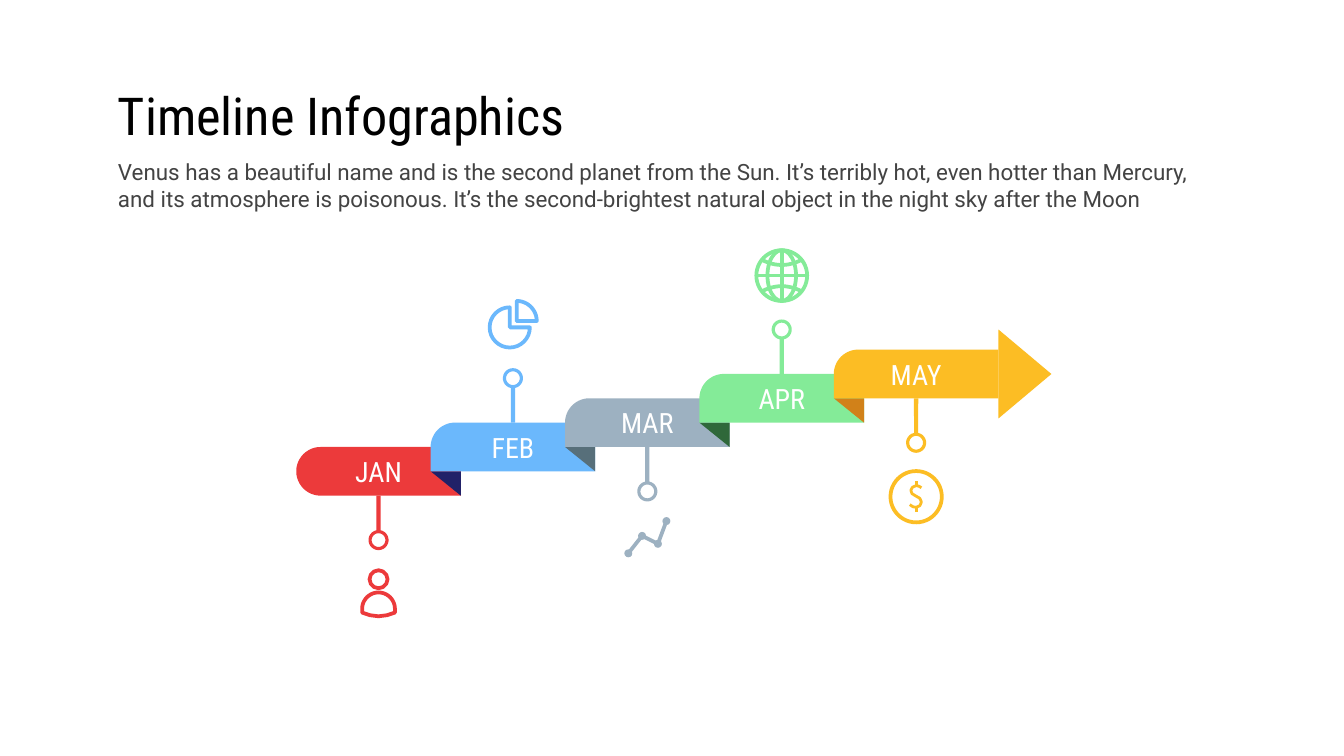
import dataclasses
import math

import lxml.etree
import pptx
import pptx.dml.color
import pptx.enum.shapes
import pptx.enum.text
import pptx.oxml.ns
import pptx.util

Cm, Pt = pptx.util.Cm, pptx.util.Pt
Kind = pptx.enum.shapes.MSO_SHAPE
Align = pptx.enum.text.PP_ALIGN


@dataclasses.dataclass(frozen=True)
class Theme:
    """Colours, fonts and type sizes of the slide."""
    ink: str = "000000"
    grey: str = "434343"
    white: str = "FFFFFF"
    fills: tuple = ("EC3A3B", "6BB8FC", "9DB1C1", "84EB98", "FCBD24")
    folds: tuple = (None, "212168", "576F7A", "2F683A", "D18119")
    head: str = "Roboto Condensed"
    text: str = "Roboto"
    big: float = 28
    mid: float = 15
    small: float = 12
    line: float = 2
    thin: float = 1.5


THEME = Theme()
WIDE, TALL = 3.11, 0.92
STEP, RISE = 2.54, TALL / 2


def rgb(code):
    """Turn a hex code into a colour."""
    return pptx.dml.color.RGBColor.from_string(code)


def write(frame, text, font, size, code, align, inset):
    """Put one run of text into a frame."""
    frame.word_wrap = True
    frame.auto_size = pptx.enum.text.MSO_AUTO_SIZE.NONE
    frame.vertical_anchor = pptx.enum.text.MSO_ANCHOR.MIDDLE
    frame.margin_left = frame.margin_right = Cm(inset)
    frame.margin_top = frame.margin_bottom = Cm(inset)
    para = frame.paragraphs[0]
    para.alignment = align
    run = para.add_run()
    run.text = text
    run.font.name, run.font.size = font, Pt(size)
    run.font.color.rgb = rgb(code)


def paint(shape, code, solid, size=THEME.line):
    """Fill a shape, or only outline it."""
    shape.shadow.inherit = False
    if solid:
        shape.fill.solid()
        shape.fill.fore_color.rgb = rgb(code)
        shape.line.fill.background()
    else:
        shape.fill.background()
        shape.line.color.rgb = rgb(code)
        shape.line.width = Pt(size)
    return shape


def trace(parts, x, y, dots, code, solid=False, close=True, size=THEME.line, hole=()):
    """Draw a path, and a hole in it, through dots given from x, y."""
    spots, gap = ([(Cm(x + dx), Cm(y + dy)) for dx, dy in row] for row in (dots, hole))
    path = parts.build_freeform(*spots[0])
    path.add_line_segments(spots[1:], close=close)
    if gap:
        path.move_to(*gap[0])
        path.add_line_segments(gap[1:], close=True)
    return paint(path.convert_to_shape(), code, solid, size)


def oval(parts, x, y, w, h, code, solid=False):
    """Draw an oval centred on x, y."""
    shape = parts.add_shape(Kind.OVAL, Cm(x - w / 2), Cm(y - h / 2), Cm(w), Cm(h))
    return paint(shape, code, solid)


def link(parts, x, y, ends, code, size=THEME.line):
    """Draw a straight line between two ends given from x, y."""
    (ax, ay), (bx, by) = ends
    line = parts.add_connector(pptx.enum.shapes.MSO_CONNECTOR.STRAIGHT,
                               Cm(x + ax), Cm(y + ay), Cm(x + bx), Cm(y + by))
    line.line.color.rgb = rgb(code)
    line.line.width = Pt(size)
    lxml.etree.SubElement(line._element.spPr, pptx.oxml.ns.qn("a:effectLst"))


def arc(x, y, r, start, stop):
    """List points on an arc, in degrees clockwise from the right."""
    count = 24
    turns = [math.radians(start + (stop - start) * i / count) for i in range(count + 1)]
    return [(x + r * math.cos(t), y + r * math.sin(t)) for t in turns]


def user(parts, x, y, code):
    """Draw a person icon centred on x, y."""
    oval(parts, x, y - 0.28, 0.34, 0.34, code)
    base = [(0.31, 0.35), (0.16, 0.4), (0, 0.42), (-0.16, 0.4), (-0.31, 0.35)]
    trace(parts, x, y, arc(0, 0.28, 0.31, 180, 360) + base, code)


def pie(parts, x, y, code):
    """Draw a pie icon centred on x, y."""
    for dx, dy, start, stop in ((-0.06, 0.06, 0, 270), (0.07, -0.06, 270, 360)):
        trace(parts, x, y, [(dx, dy)] + arc(dx, dy, 0.38, start, stop), code)


def trend(parts, x, y, code):
    """Draw a line chart icon centred on x, y."""
    dots = [(-0.36, 0.15), (-0.1, -0.18), (0.2, -0.03), (0.36, -0.46)]
    trace(parts, x, y, dots, code, close=False)
    for dx, dy in dots:
        oval(parts, x + dx, y + dy, 0.15, 0.15, code, True)


def globe(parts, x, y, code):
    """Draw a globe icon centred on x, y."""
    r = 0.48
    for w in (2 * r, 0.54):
        oval(parts, x, y, w, 2 * r, code)
    link(parts, x, y, ((-r, 0), (r, 0)), code)
    link(parts, x, y, ((0, -r), (0, r)), code)
    for side in (-1, 1):
        bend = [(k * 0.06, side * (0.2 + 0.09 * (k / 6) ** 2)) for k in range(-6, 7)]
        trace(parts, x, y, bend, code, close=False)


def coin(parts, x, y, code):
    """Draw a dollar coin icon centred on x, y."""
    oval(parts, x, y, 0.97, 0.97, code)
    curve = [(0.1, -0.17), (0.05, -0.2), (0, -0.21), (-0.07, -0.18), (-0.1, -0.12),
             (-0.08, -0.06), (0, -0.01), (0.07, 0.03), (0.1, 0.1), (0.07, 0.17),
             (0, 0.2), (-0.06, 0.19), (-0.12, 0.15)]
    trace(parts, x, y, curve, code, close=False, size=THEME.thin)
    for side in (-1, 1):
        link(parts, x, y, ((0, side * 0.2), (0, side * 0.29)), code, THEME.thin)


def stem(parts, x, y, side, code):
    """Draw a stem that ends in a ring, down or up from x, y."""
    half, far = 0.04, side * 0.84
    turn = side * 90
    rim = arc(0, far, 0.19, 12 - turn, 348 - turn)
    bar = [(-side * half, 0), (side * half, 0)]
    trace(parts, x, y, bar + rim, code, True, hole=arc(0, far, 0.13, 0, 360))


def band(parts, x, y, label, code, fold):
    """Draw a labelled ribbon and the fold behind it."""
    r = TALL / 2
    if fold:
        lap = WIDE - STEP
        trace(parts, x, y + TALL, [(0, 0), (lap, RISE), (lap, 0)], fold, True)
        left = [(0, TALL)] + arc(r, r, r, 180, 270)
    else:
        left = arc(r, r, r, 90, 270)
    shape = trace(parts, x, y, left + [(WIDE, 0), (WIDE, TALL)], code, True)
    write(shape.text_frame, label, THEME.head, THEME.mid, THEME.white, Align.CENTER, 0)


def tip(parts, x, y, code):
    """Draw the arrow tip whose base is centred on x, y."""
    w, h = 1.68, 1
    shape = parts.add_shape(Kind.ISOSCELES_TRIANGLE, Cm(x + (h - w) / 2),
                            Cm(y - h / 2), Cm(w), Cm(h))
    shape.rotation = 90
    paint(shape, code, True)


def chain(slide, x, y):
    """Place the rising months from the first ribbon's corner."""
    months = (("JAN", user), ("FEB", pie), ("MAR", trend), ("APR", globe), ("MAY", coin))
    for i, (label, icon) in enumerate(months):
        parts = slide.shapes.add_group_shape().shapes
        code = THEME.fills[i]
        left, top = x + i * STEP, y - i * RISE
        mid = left + WIDE / 2
        side = -1 if i % 2 else 1
        edge = top if i % 2 else top + TALL
        stem(parts, mid, edge, side, code)
        icon(parts, mid, edge + side * 1.86, code)
        band(parts, left, top, label, code, THEME.folds[i])
        if i == len(months) - 1:
            tip(parts, left + WIDE, top + TALL / 2, code)


def intro(slide, x, y, w, h):
    """Place the title, and the text in an equal box below it."""
    title = slide.shapes.title
    title.left, title.top, title.width, title.height = Cm(x), Cm(y), Cm(w), Cm(h)
    write(title.text_frame, "Timeline Infographics", THEME.head, THEME.big,
          THEME.ink, Align.LEFT, 0.25)
    note = slide.shapes.add_textbox(Cm(x), Cm(y + h), Cm(w), Cm(h))
    write(note.text_frame, "Venus has a beautiful name and is the second planet from "
          "the Sun. It’s terribly hot, even hotter than Mercury, and its atmosphere is "
          "poisonous. It’s the second-brightest natural object in the night sky after "
          "the Moon", THEME.text, THEME.small, THEME.grey, Align.LEFT, 0.25)


def main():
    """Build and save the slide."""
    deck = pptx.Presentation()
    deck.slide_width, deck.slide_height = Cm(25.4), Cm(14.29)
    slide = deck.slides.add_slide(deck.slide_layouts[5])
    intro(slide, 1.98, 1.49, 21.46, 1.34)
    chain(slide, 5.6, 8.45)
    deck.save("out.pptx")


if __name__ == "__main__":
    main()
